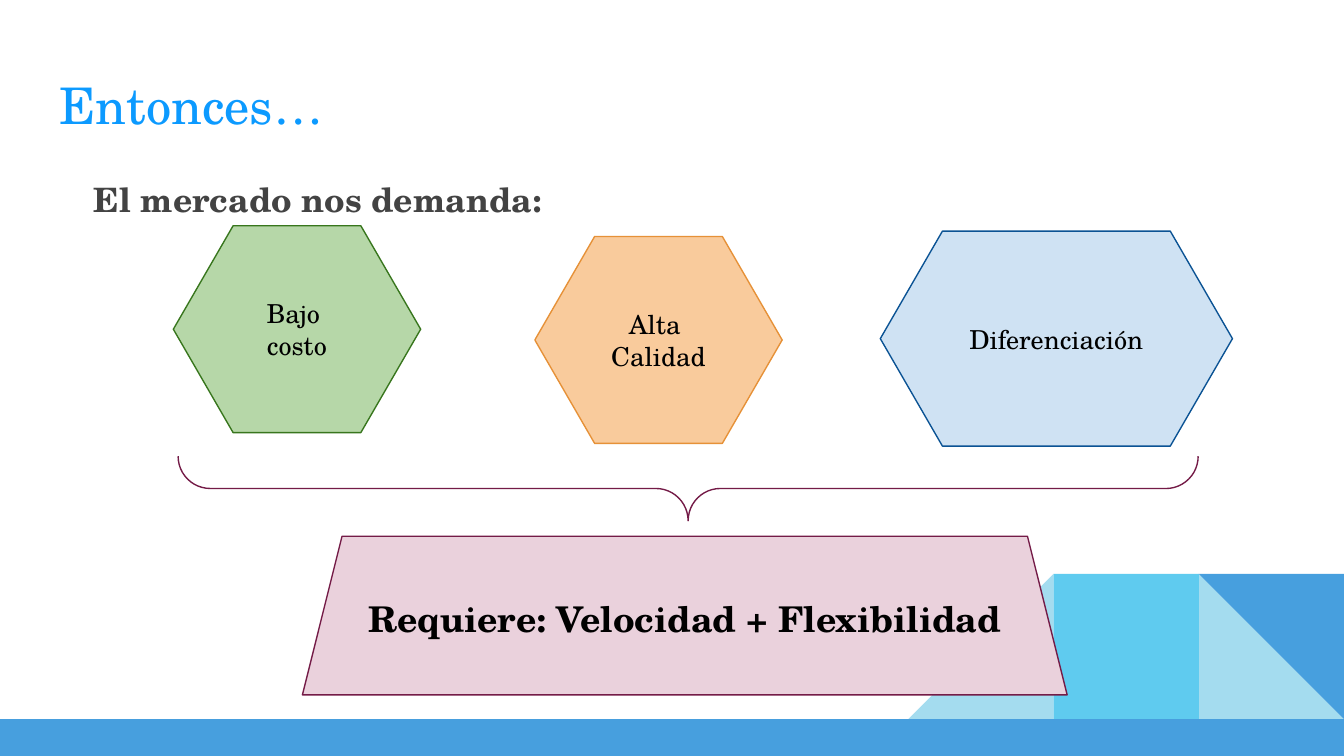
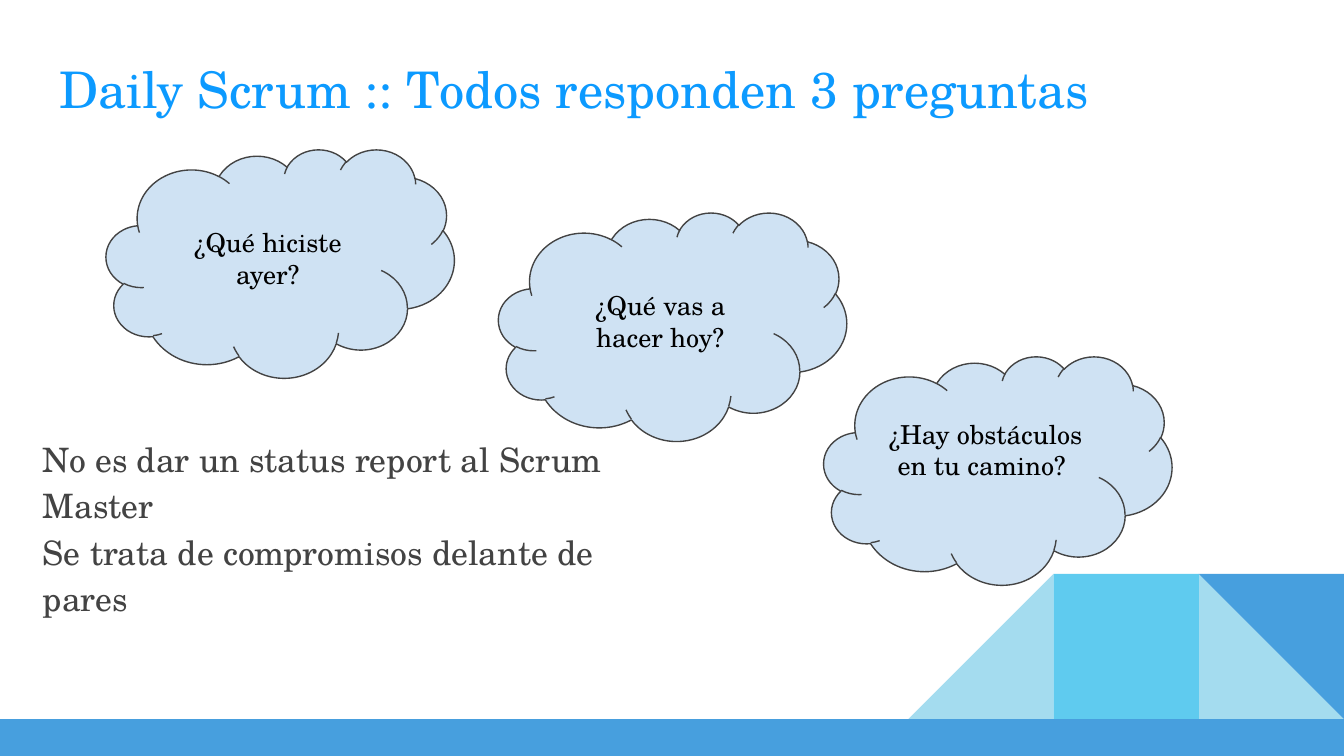
from pptx import Presentation
from pptx.dml.color import RGBColor
from pptx.enum.shapes import MSO_SHAPE
from pptx.enum.text import MSO_ANCHOR, PP_ALIGN
from pptx.util import Inches, Pt

FONT = "TeX Gyre Schola"
BLUE = RGBColor(0x47, 0x9F, 0xDE)
SKY = RGBColor(0x5F, 0xCB, 0xEF)
PALE_SKY = RGBColor(0xA4, 0xDC, 0xEF)
TITLE_BLUE = RGBColor(0x0C, 0x9A, 0xFF)
GRAY = RGBColor(0x43, 0x43, 0x43)
BLACK = RGBColor(0x00, 0x00, 0x00)
PALE_BLUE = RGBColor(0xCF, 0xE2, 0xF3)
NAVY = RGBColor(0x0B, 0x53, 0x94)
PALE_GREEN = RGBColor(0xB6, 0xD7, 0xA8)
GREEN = RGBColor(0x38, 0x76, 0x1D)
PEACH = RGBColor(0xF9, 0xCB, 0x9C)
ORANGE = RGBColor(0xE6, 0x91, 0x38)
PINK = RGBColor(0xEA, 0xD1, 0xDC)
WINE = RGBColor(0x74, 0x1B, 0x47)


def write(sp, text, size, color, bold=False, align=PP_ALIGN.LEFT, anchor=MSO_ANCHOR.TOP):
    tf = sp.text_frame
    tf.text = text
    tf.word_wrap = True
    tf.vertical_anchor = anchor
    tf.margin_left = tf.margin_right = tf.margin_top = tf.margin_bottom = Inches(0.1)
    for p in tf.paragraphs:
        p.alignment = align
        for r in p.runs:
            r.font.name = FONT
            r.font.size = Pt(size)
            r.font.bold = bold
            r.font.color.rgb = color
    return tf


def add_shape(s, kind, x, y, w, h, fill=None, line=None):
    sp = s.shapes.add_shape(kind, Inches(x), Inches(y), Inches(w), Inches(h))
    sp.shadow.inherit = False
    if fill is None:
        sp.fill.background()
    else:
        sp.fill.solid()
        sp.fill.fore_color.rgb = fill
    if line is None:
        sp.line.fill.background()
    else:
        sp.line.color.rgb = line
        sp.line.width = Pt(0.75)
    return sp


# Widescreen 16:9
prs = Presentation()
prs.slide_width = Inches(10)
prs.slide_height = Inches(10 * 9 / 16)
layout = prs.slide_layouts[5]

# Slides and their titles
slides = []
for title, top in [("Entonces…", 0.45), ("Daily Scrum :: Todos responden 3 preguntas", 0.33)]:
    s = prs.slides.add_slide(layout)
    sp = s.shapes.title
    sp.left, sp.top, sp.width, sp.height = Inches(0.34), Inches(top), Inches(9.32), Inches(0.66)
    write(sp, title, 27, TITLE_BLUE)
    slides.append(s)
market, daily = slides

# Shared corner and bottom band, moved to the layout
SIDE = 1.08
for kind, column, color, rotation, flip in [
    (MSO_SHAPE.RIGHT_TRIANGLE, 2, PALE_SKY, 0, False),
    (MSO_SHAPE.RIGHT_TRIANGLE, 0, PALE_SKY, 0, True),
    (MSO_SHAPE.RECTANGLE, 1, SKY, 0, False),
    (MSO_SHAPE.RIGHT_TRIANGLE, 2, BLUE, 180, False),
]:
    sp = add_shape(market, kind, 6.76 + column * SIDE, 4.27, SIDE, SIDE, color)
    sp.rotation = rotation
    if flip:
        sp.element.spPr.xfrm.set("flipH", "1")
    layout.shapes.element.append(sp.element)
band = add_shape(market, MSO_SHAPE.RECTANGLE, 0, 5.35, 10, 0.28, BLUE)
layout.shapes.element.append(band.element)

# Slide 1: what the market demands
sp = market.shapes.add_textbox(Inches(0.6), Inches(1.23), Inches(8.81), Inches(1.41))
write(sp, "El mercado nos demanda:", 18, GRAY, bold=True)

for text, x, y, w, h, fill, line in [
    ("Alta \nCalidad", 3.98, 1.76, 1.84, 1.54, PEACH, ORANGE),
    ("Diferenciación", 6.55, 1.72, 2.62, 1.6, PALE_BLUE, NAVY),
    ("Bajo \ncosto", 1.29, 1.68, 1.84, 1.54, PALE_GREEN, GREEN),
]:
    sp = add_shape(market, MSO_SHAPE.HEXAGON, x, y, w, h, fill, line)
    sp.adjustments[0] = 0.289
    write(sp, text, 14, BLACK, align=PP_ALIGN.CENTER, anchor=MSO_ANCHOR.MIDDLE)

# Slide 1: what it requires
sp = add_shape(market, MSO_SHAPE.TRAPEZOID, 2.25, 3.99, 5.69, 1.18, PINK, WINE)
sp.adjustments[0] = 0.25
write(sp, "Requiere: Velocidad + Flexibilidad", 19, BLACK, bold=True,
      align=PP_ALIGN.CENTER, anchor=MSO_ANCHOR.MIDDLE)

sp = add_shape(market, MSO_SHAPE.RIGHT_BRACE, 4.88, -0.16, 0.48, 7.59, line=WINE)
sp.rotation = 90
sp.adjustments[0] = 0.5
sp.adjustments[1] = 0.5

# Slide 2: the three questions
for text, x, y, bottom in [
    ("¿Qué hiciste ayer?", 0.79, 1.11, 0.1),
    ("¿Qué vas a hacer hoy?", 3.71, 1.58, 0.1),
    ("¿Hay obstáculos en tu camino? ", 6.13, 2.65, 0.33),
]:
    sp = add_shape(daily, MSO_SHAPE.CLOUD, x, y, 2.59, 1.7, PALE_BLUE, GRAY)
    tf = write(sp, text, 14, BLACK, align=PP_ALIGN.CENTER, anchor=MSO_ANCHOR.MIDDLE)
    tf.margin_bottom = Inches(bottom)

# Slide 2: purpose of the meeting
sp = daily.shapes.add_textbox(Inches(0.22), Inches(3.12), Inches(4.86), Inches(1.52))
tf = write(sp, "No es dar un status report al Scrum Master\n"
               "Se trata de compromisos delante de pares", 18, GRAY)
for p in tf.paragraphs:
    p.line_spacing = 1.15

prs.save("out.pptx")
